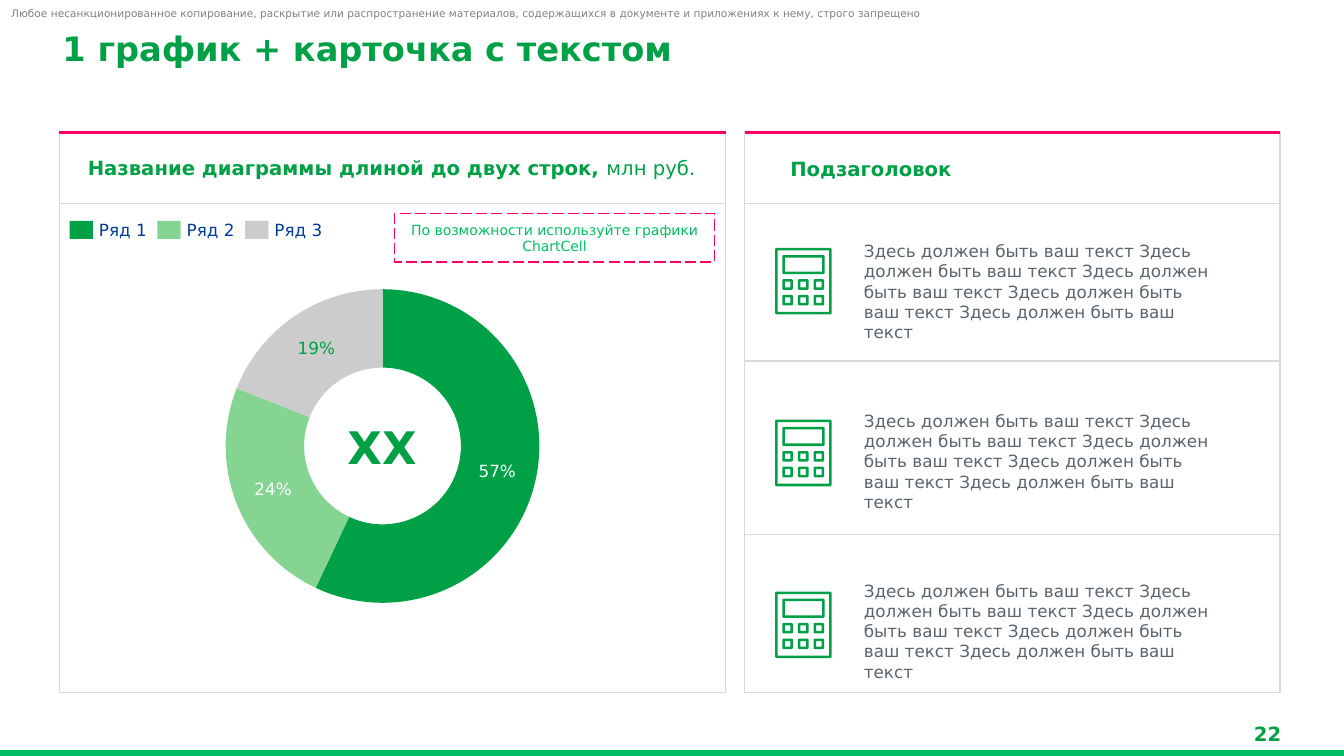
from dataclasses import dataclass
from itertools import product

from lxml.etree import SubElement
from pptx import Presentation
from pptx.chart.data import CategoryChartData
from pptx.dml.color import RGBColor
from pptx.enum.chart import XL_CHART_TYPE as ChartType
from pptx.enum.dml import MSO_LINE
from pptx.enum.shapes import MSO_CONNECTOR, MSO_SHAPE
from pptx.enum.text import MSO_ANCHOR as Anchor, MSO_AUTO_SIZE, PP_ALIGN as Align
from pptx.oxml import parse_xml
from pptx.oxml.ns import nsdecls, qn
from pptx.util import Inches, Pt

GREEN = RGBColor(0x00, 0xA0, 0x46)
BRIGHT = RGBColor(0x00, 0xBE, 0x64)
LIGHT = RGBColor(0x86, 0xD4, 0x91)
SILVER = RGBColor(0xCC, 0xCC, 0xCC)
RULE = RGBColor(0xD9, 0xD9, 0xD9)
GRAY = RGBColor(0x80, 0x80, 0x80)
SLATE = RGBColor(0x5A, 0x64, 0x6E)
NAVY = RGBColor(0x00, 0x3C, 0x96)
PINK = RGBColor(0xFF, 0x00, 0x66)
WHITE = RGBColor(0xFF, 0xFF, 0xFF)

FONT = "DejaVu Sans"
WIDTH, HEIGHT = Inches(13.33), Inches(7.5)
ICON_UNIT = WIDTH / 1333
HEADER_Y = 26.93
CARD_TEXT = " ".join(["Здесь должен быть ваш текст"] * 5)


def across(share: float) -> int:
    return round(WIDTH * share / 100)


def down(share: float) -> int:
    return round(HEIGHT * share / 100)


@dataclass
class Box:
    """A rectangle in percent of the slide's width and height."""
    x: float
    y: float
    w: float
    h: float

    def emu(self) -> tuple[int, int, int, int]:
        return across(self.x), down(self.y), across(self.w), down(self.h)


@dataclass
class Label:
    box: Box
    text: str
    size: float
    color: RGBColor = GREEN
    bold: bool = False
    align: Align = Align.LEFT
    anchor: Anchor = Anchor.TOP
    wrap: bool = True
    spacing: float = 1.0
    light_tail: str = ""


@dataclass
class Panel:
    box: Box
    rules: tuple[float, ...]


@dataclass
class Share:
    name: str
    value: int
    color: RGBColor
    label_color: RGBColor


PANELS = [
    Panel(Box(4.42, 17.47, 49.58, 74.13), (HEADER_Y,)),
    Panel(Box(55.42, 17.47, 39.83, 74.13), (HEADER_Y, 47.73, 70.67)),
]
SHARES = [
    Share("Ряд 1", 57, GREEN, WHITE),
    Share("Ряд 2", 24, LIGHT, WHITE),
    Share("Ряд 3", 19, SILVER, GREEN),
]
TITLE = Label(Box(4.65, 3.73, 81.53, 4.93), "1 график + карточка с текстом", 24, bold=True)
NOTE = Label(Box(29.33, 28.27, 23.85, 6.4), "По возможности используйте графики ChartCell",
             10, BRIGHT, align=Align.CENTER, anchor=Anchor.MIDDLE)
LABELS = [
    Label(Box(0.83, 0.93, 86.1, 1.73),
          "Любое несанкционированное копирование, раскрытие или распространение материалов, "
          "содержащихся в документе и приложениях к нему, строго запрещено",
          7.5, GRAY, anchor=Anchor.BOTTOM),
    Label(Box(91.05, 95.47, 4.28, 3.2), "22", 14, bold=True,
          align=Align.RIGHT, anchor=Anchor.MIDDLE),
    Label(Box(6.53, 20.93, 46.58, 2.8), "Название диаграммы длиной до двух строк, ", 14,
          bold=True, anchor=Anchor.BOTTOM, spacing=0.9, light_tail="млн руб."),
    Label(Box(58.8, 20.67, 34.28, 3.2), "Подзаголовок", 14, bold=True, anchor=Anchor.BOTTOM),
    Label(Box(23.55, 55.47, 9.75, 7.2), "XX", 32, bold=True, align=Align.CENTER),
]


def write(sp, label: Label, inset_x: float = 0, inset_y: float = 0) -> None:
    tf = sp.text_frame
    tf.auto_size = MSO_AUTO_SIZE.NONE
    tf.word_wrap = label.wrap
    tf.vertical_anchor = label.anchor
    tf.margin_left = tf.margin_right = Inches(inset_x)
    tf.margin_top = tf.margin_bottom = Inches(inset_y)
    p = tf.paragraphs[0]
    p.alignment, p.line_spacing = label.align, label.spacing
    p.font.name, p.font.size, p.font.bold = FONT, Pt(label.size), label.bold
    p.font.color.rgb = label.color
    p.add_run().text = label.text
    if label.light_tail:
        r = p.add_run()
        r.text, r.font.bold = label.light_tail, False


def add_label(slide, label: Label) -> None:
    write(slide.shapes.add_textbox(*label.box.emu()), label)


def paint(sp, fill: RGBColor | None, line: RGBColor | None = None) -> None:
    sp.shadow.inherit = False
    if fill is None:
        sp.fill.background()
    else:
        sp.fill.solid()
        sp.fill.fore_color.rgb = fill
    if line is None:
        sp.line.fill.background()
    else:
        sp.line.color.rgb, sp.line.width = line, Pt(1)


def add_rect(slide, box: Box, fill: RGBColor | None, line: RGBColor | None = None):
    sp = slide.shapes.add_shape(MSO_SHAPE.RECTANGLE, *box.emu())
    paint(sp, fill, line)
    return sp


def add_rule(slide, box: Box, y: float, color: RGBColor, width: float) -> None:
    line = slide.shapes.add_connector(
        MSO_CONNECTOR.STRAIGHT, across(box.x), down(y), across(box.x + box.w), down(y))
    line.line.color.rgb, line.line.width = color, Pt(width)
    SubElement(line._element.spPr, qn("a:effectLst"))


def add_panel(slide, panel: Panel) -> None:
    add_rect(slide, panel.box, None, RULE)
    for y in panel.rules:
        add_rule(slide, panel.box, y, RULE, 1)
    add_rule(slide, panel.box, panel.box.y, PINK, 2.25)


def add_ring(slide, x: float, y: float, w: float, h: float) -> None:
    """Draw a hollow frame with clipped corners; lengths are EMU."""
    cut, wall = ICON_UNIT, 2.5 * ICON_UNIT
    r, b = x + w, y + h
    fb = slide.shapes.build_freeform(x + cut, y)
    fb.add_line_segments([(r - cut, y), (r, y + cut), (r, b - cut), (r - cut, b),
                          (x + cut, b), (x, b - cut), (x, y + cut)])
    fb.move_to(x + wall, y + wall)
    fb.add_line_segments([(x + wall, b - wall), (r - wall, b - wall), (r - wall, y + wall)])
    paint(fb.convert_to_shape(), GREEN)


def add_calculator(slide, left: int, top: int) -> None:
    keys = [(7 + 15.5 * c, 31 + 15.5 * r, 10.5, 10.5) for r, c in product(range(2), range(3))]
    for x, y, w, h in [(0, 0, 56, 66), (7, 7, 42, 19), *keys]:
        add_ring(slide, left + x * ICON_UNIT, top + y * ICON_UNIT, w * ICON_UNIT, h * ICON_UNIT)


def add_doughnut(slide, box: Box) -> None:
    data = CategoryChartData(number_format='0"%"')
    data.categories = [str(i) for i in range(1, len(SHARES) + 1)]
    data.add_series("Series 1", [share.value for share in SHARES])
    chart = slide.shapes.add_chart(ChartType.DOUGHNUT, *box.emu(), data).chart
    chart.has_legend = chart.has_title = False
    chart.font.name, chart.font.size, chart.font.color.rgb = FONT, Pt(10), NAVY
    plot = chart.plots[0]
    plot.vary_by_categories = True
    plot._element.find(qn("c:holeSize")).set("val", "65")
    series = plot.series[0]
    series.data_labels.show_value = True
    series.data_labels.show_percentage = False
    for i, share in enumerate(SHARES):
        point = series.points[i]
        point.format.fill.solid()
        point.format.fill.fore_color.rgb = share.color
        point.format.line.fill.background()
        font = point.data_label.font
        font.name, font.size, font.color.rgb = FONT, Pt(12), share.label_color
    area = chart._chartSpace.chart.plotArea
    for layout in area.findall(qn("c:layout")):
        area.remove(layout)
    area.insert(0, parse_xml(
        f'<c:layout {nsdecls("c")}><c:manualLayout><c:layoutTarget val="inner"/>'
        '<c:xMode val="edge"/><c:yMode val="edge"/><c:x val="0.03"/><c:y val="0.1"/>'
        '<c:w val="0.94"/><c:h val="0.8"/></c:manualLayout></c:layout>'))


def main() -> None:
    prs = Presentation()
    prs.slide_width, prs.slide_height = WIDTH, HEIGHT
    slide = prs.slides.add_slide(prs.slide_layouts[5])
    title = slide.shapes.title
    title.left, title.top, title.width, title.height = TITLE.box.emu()
    write(title, TITLE)
    add_rect(slide, Box(0, 99.33, 100, 0.67), BRIGHT, BRIGHT)
    for panel in PANELS:
        add_panel(slide, panel)
    add_doughnut(slide, Box(16.05, 33.07, 24.83, 51.87))
    for i, share in enumerate(SHARES):
        x = 5.18 + 6.53 * i
        add_rect(slide, Box(x, 29.2, 1.73, 2.4), share.color)
        add_label(slide, Label(Box(x + 2.18, 29.33, 3.53, 2.4), share.name, 12, NAVY,
                               anchor=Anchor.MIDDLE, wrap=False, spacing=0.9))
    for label in LABELS:
        add_label(slide, label)
    for i in range(3):
        add_label(slide, Label(Box(64.28, 31.87 + 22.47 * i, 26.48, 10.8), CARD_TEXT, 12, SLATE))
        add_calculator(slide, across(57.68), down(32.8 + 22.73 * i))
    note = add_rect(slide, NOTE.box, WHITE, PINK)
    note.line.dash_style = MSO_LINE.LONG_DASH
    write(note, NOTE, 0.04, 0.05)
    prs.save("out.pptx")


if __name__ == "__main__":
    main()
